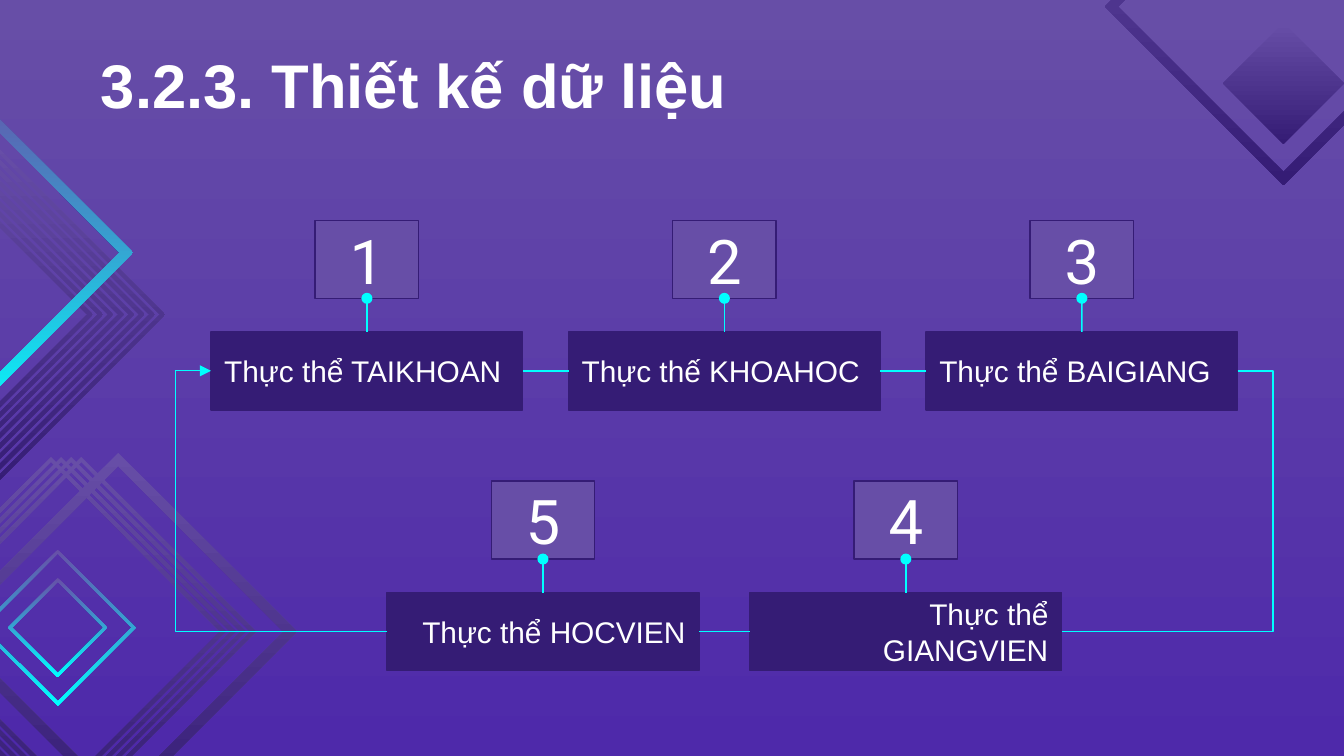
from dataclasses import dataclass

from lxml import etree
from pptx import Presentation
from pptx.dml.color import RGBColor
from pptx.dml.fill import FillFormat
from pptx.enum.shapes import MSO_CONNECTOR, MSO_SHAPE
from pptx.enum.text import MSO_ANCHOR, MSO_AUTO_SIZE, PP_ALIGN
from pptx.oxml.ns import qn
from pptx.shapes.autoshape import Shape
from pptx.shapes.connector import Connector
from pptx.slide import Slide
from pptx.text.text import TextFrame
from pptx.util import Inches, Pt

RECTANGLE = MSO_SHAPE.RECTANGLE
STRAIGHT, ELBOW = MSO_CONNECTOR.STRAIGHT, MSO_CONNECTOR.ELBOW
LEFT, CENTER, RIGHT = PP_ALIGN.LEFT, PP_ALIGN.CENTER, PP_ALIGN.RIGHT
TOP, MIDDLE = MSO_ANCHOR.TOP, MSO_ANCHOR.MIDDLE
TOP_SITE, LEFT_SITE, BOTTOM_SITE, RIGHT_SITE = range(4)

INDIGO, VIOLET, PURPLE = "351C75", "674EA7", "4E29AA"
CYAN, WHITE = "00FFFF", "FFFFFF"

SLIDE_WIDTH = 10
SLIDE_HEIGHT = SLIDE_WIDTH * 9 / 16
ENTITY_WIDTH, BADGE_WIDTH, BOX_HEIGHT = 2.32, 0.77, 0.58
BADGE_RISE = 0.83
UPPER_ROW, LOWER_ROW = 2.47, 4.41


@dataclass
class Diamond:
    x: float
    y: float
    radius: float
    hole: float
    end_color: str = INDIGO


@dataclass
class Entity:
    number: int
    name: str
    left: float
    top: float
    align: PP_ALIGN


DIAMONDS = [
    *(Diamond(0.38 + 0.075 * i, 4.7, 1.3, 1.26) for i in range(4)),
    Diamond(0.88, 4.7, 1.33, 1.23),
    Diamond(0.43, 4.67, 0.58, 0.55, CYAN),
    Diamond(0.43, 4.67, 0.37, 0.34, CYAN),
    *(Diamond(-0.61 + 0.077 * i, 2.34, 1.3, 1.26) for i in range(8)),
    Diamond(-0.34, 1.88, 1.33, 1.23, CYAN),
    Diamond(9.55, 0.62, 0.45, 0),
    Diamond(9.55, 0.05, 1.33, 1.23),
]

ENTITIES = [
    Entity(1, "Thực thể TAIKHOAN", 1.57, UPPER_ROW, LEFT),
    Entity(2, "Thực thế KHOAHOC", 4.23, UPPER_ROW, LEFT),
    Entity(3, "Thực thể BAIGIANG", 6.89, UPPER_ROW, LEFT),
    Entity(4, "Thực thể GIANGVIEN", 5.58, LOWER_ROW, RIGHT),
    Entity(5, "Thực thể HOCVIEN", 2.88, LOWER_ROW, RIGHT),
]


def rgb(color: str) -> RGBColor:
    return RGBColor.from_string(color)


def fade_down(fill: FillFormat, top_color: str, bottom_color: str) -> None:
    fill.gradient()
    fill.gradient_angle = 270
    for stop, color in zip(fill.gradient_stops, (top_color, bottom_color)):
        stop.color.rgb = rgb(color)


def write(frame: TextFrame, text: str, size: float, font_name: str,
          align: PP_ALIGN, anchor: MSO_ANCHOR, bold: bool = False) -> None:
    frame.text = text
    frame.word_wrap = True
    frame.auto_size = MSO_AUTO_SIZE.NONE
    frame.vertical_anchor = anchor
    frame.margin_left = frame.margin_right = Inches(0.1)
    frame.margin_top = frame.margin_bottom = Inches(0.1)
    paragraph = frame.paragraphs[0]
    paragraph.alignment = align
    font = paragraph.runs[0].font
    font.size, font.name, font.bold = Pt(size), font_name, bold
    font.color.rgb = rgb(WHITE)


def draw_diamond(slide: Slide, diamond: Diamond) -> None:
    """Draw the outer outline, then the hole in the opposite direction."""
    x, y, r, h = map(Inches, (diamond.x, diamond.y,
                              diamond.radius, diamond.hole))
    builder = slide.shapes.build_freeform(x, y + r)
    builder.add_line_segments([(x + r, y), (x, y - r), (x - r, y)])
    if h:
        builder.move_to(x + h, y)
        builder.add_line_segments([(x, y + h), (x - h, y), (x, y - h)])
    shape = builder.convert_to_shape()
    shape.shadow.inherit = False
    shape.line.fill.background()
    fade_down(shape.fill, VIOLET, diamond.end_color)


def draw_box(slide: Slide, left: float, top: float, width: float,
             color: str) -> Shape:
    box = slide.shapes.add_shape(RECTANGLE, Inches(left), Inches(top),
                                 Inches(width), Inches(BOX_HEIGHT))
    box.shadow.inherit = False
    box.fill.solid()
    box.fill.fore_color.rgb = rgb(color)
    box.line.color.rgb = rgb(INDIGO)
    box.line.width = Pt(0.75)
    return box


def link(slide: Slide, kind: MSO_CONNECTOR, start: Shape, start_site: int,
         end: Shape, end_site: int) -> Connector:
    connector = slide.shapes.add_connector(kind, 0, 0, 0, 0)
    connector.begin_connect(start, start_site)
    connector.end_connect(end, end_site)
    connector.line.color.rgb = rgb(CYAN)
    connector.line.width = Pt(0.75)
    properties = connector._element.spPr
    etree.SubElement(properties, qn("a:effectLst"))
    return connector


def set_bend(connector: Connector, share: float) -> None:
    """Place the elbow at a share of the connector's width."""
    geometry = connector._element.spPr.find(qn("a:prstGeom"))
    guides = geometry.find(qn("a:avLst"))
    if guides is None:
        guides = etree.SubElement(geometry, qn("a:avLst"))
    etree.SubElement(guides, qn("a:gd"), name="adj1",
                     fmla=f"val {round(share * 100000)}")


def add_arrowhead(connector: Connector, end: str, style: str) -> None:
    line = connector._element.spPr.find(qn("a:ln"))
    etree.SubElement(line, qn(end), type=style)


def draw_entity(slide: Slide, entity: Entity) -> Shape:
    box = draw_box(slide, entity.left, entity.top, ENTITY_WIDTH, INDIGO)
    write(box.text_frame, entity.name, 16, "Arial", entity.align, MIDDLE)
    badge_left = entity.left + (ENTITY_WIDTH - BADGE_WIDTH) / 2
    badge = draw_box(slide, badge_left, entity.top - BADGE_RISE,
                     BADGE_WIDTH, VIOLET)
    write(badge.text_frame, str(entity.number), 33, "Roboto", CENTER, MIDDLE)
    stem = link(slide, STRAIGHT, badge, BOTTOM_SITE, box, TOP_SITE)
    add_arrowhead(stem, "a:headEnd", "oval")
    return box


def main() -> None:
    deck = Presentation()
    deck.slide_width, deck.slide_height = Inches(SLIDE_WIDTH), Inches(SLIDE_HEIGHT)
    slide = deck.slides.add_slide(deck.slide_layouts[5])
    fade_down(slide.background.fill, VIOLET, PURPLE)

    for diamond in DIAMONDS:
        draw_diamond(slide, diamond)

    title = slide.shapes.title
    title.left, title.top = Inches(0.65), Inches(0.25)
    title.width, title.height = Inches(8.44), Inches(0.63)
    write(title.text_frame, "3.2.3. Thiết kế dữ liệu", 33, "Arial",
          LEFT, TOP, bold=True)

    account, course, lecture, teacher, student = [
        draw_entity(slide, entity) for entity in ENTITIES]
    link(slide, STRAIGHT, account, RIGHT_SITE, course, LEFT_SITE)
    link(slide, STRAIGHT, course, RIGHT_SITE, lecture, LEFT_SITE)
    link(slide, STRAIGHT, teacher, LEFT_SITE, student, RIGHT_SITE)
    descent = link(slide, ELBOW, lecture, RIGHT_SITE, teacher, RIGHT_SITE)
    set_bend(descent, -0.2)
    ascent = link(slide, ELBOW, student, LEFT_SITE, account, LEFT_SITE)
    set_bend(ascent, 1.2)
    add_arrowhead(ascent, "a:tailEnd", "triangle")

    deck.save("out.pptx")


if __name__ == "__main__":
    main()
